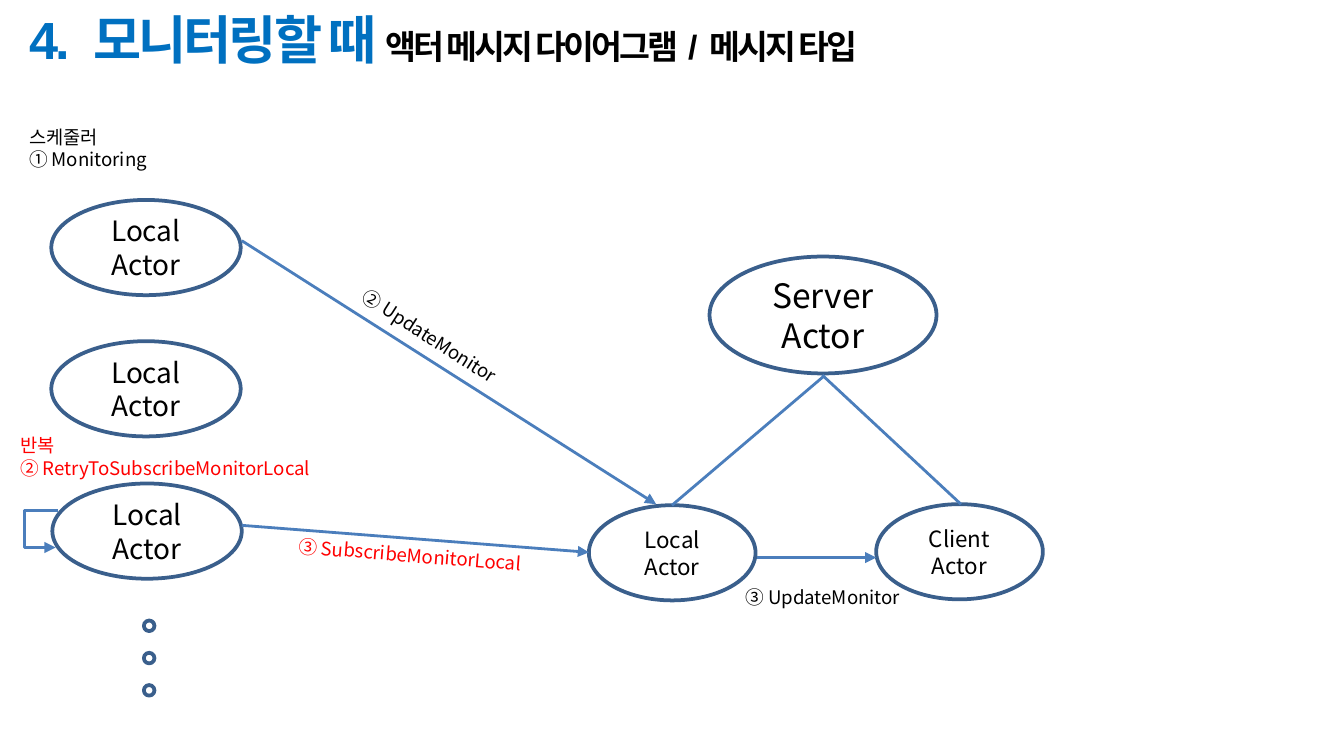
from lxml import etree
from pptx import Presentation
from pptx.dml.color import RGBColor
from pptx.enum.shapes import MSO_CONNECTOR, MSO_SHAPE
from pptx.enum.text import MSO_ANCHOR, PP_ALIGN
from pptx.oxml.ns import qn
from pptx.util import Cm, Pt

STRAIGHT, ELBOW = MSO_CONNECTOR.STRAIGHT, MSO_CONNECTOR.ELBOW
OVAL = MSO_SHAPE.OVAL
MIDDLE, TOP = MSO_ANCHOR.MIDDLE, MSO_ANCHOR.TOP
LEFT, CENTER = PP_ALIGN.LEFT, PP_ALIGN.CENTER

BODY_FONT, TITLE_FONT = "Noto Sans CJK KR", "Arial"
BLACK, RED, BLUE = "000000", "FF0000", "0070C0"
OUTLINE, LINK = "3A5F8C", "4B7EBC"

# Text, size, colour, letter spacing in points
TITLE_RUNS = [
    ("4.", 28, BLUE, -1.5),
    (" ", 28, BLUE, 4.8),
    ("모니터링할 때 ", 28, BLUE, -1.5),
    ("액터 메시지 다이어그램", 18, BLACK, -1.5),
    (" / ", 18, BLACK, 0.8),
    ("메시지 타입", 18, BLACK, -1.5),
]

# Width, height, text size
SERVER, CHILD, SOURCE = (4.29, 2.21, 18), (3.15, 1.8, 12), (3.58, 1.8, 15)
ACTORS = [
    ("Server Actor", 13.41, 4.85, SERVER),
    ("Local Actor", 11.13, 9.55, CHILD),
    ("Client Actor", 16.56, 9.53, CHILD),
    ("Local Actor", 0.97, 3.78, SOURCE),
    ("Local Actor", 0.97, 6.45, SOURCE),
    ("Local Actor", 0.99, 9.14, SOURCE),
]
DOT_LEFT, DOT_TOP, DOT_STEP, DOT_SIZE, DOT_COUNT = 2.72, 11.73, 0.61, 0.2, 3

# Start, end, has arrowhead
LINKS = [
    ((15.57, 7.11), (12.7, 9.55), False),
    ((15.54, 7.09), (18.16, 9.53), False),
    ((4.57, 4.55), (12.4, 9.53), True),
    ((4.57, 9.93), (11.13, 10.44), True),
    ((14.3, 10.54), (16.56, 10.54), True),
]
LOOP_START, LOOP_END, LOOP_REACH = (1.09, 9.65), (1.05, 10.35), 0.63

# Lines, box, colour, rotation, wraps
LABELS = [
    (["② UpdateMonitor"], (6.27, 6.5, 5.23, 0.69), BLACK, 32.7, True),
    (["반복", "② RetryToSubscribeMonitorLocal"], (0.13, 8.08, 6.02, 1.12), RED, 0, True),
    ([" ③ SubscribeMonitorLocal"], (5.31, 10.19, 6.02, 0.69), RED, 4.5, True),
    (["스케줄러", "① Monitoring"], (0.3, 2.24, 2.79, 1.12), BLACK, 0, False),
    (["③ UpdateMonitor"], (13.84, 10.95, 3.48, 0.69), BLACK, 0, False),
]


def color(hex_string):
    return RGBColor.from_string(hex_string)


def add_run(paragraph, text, size, hex_color, font=BODY_FONT):
    run = paragraph.add_run()
    run.text = text
    run.font.size = Pt(size)
    run.font.name = font
    run.font.color.rgb = color(hex_color)
    east_asian = etree.SubElement(run.font._element, qn("a:ea"))
    east_asian.set("typeface", BODY_FONT)
    return run


def set_frame(frame, anchor, side, top, bottom, wrap=True):
    """Set anchor, wrapping and margins in centimetres."""
    frame.word_wrap = wrap
    frame.vertical_anchor = anchor
    frame.margin_left = frame.margin_right = Cm(side)
    frame.margin_top, frame.margin_bottom = Cm(top), Cm(bottom)


def add_title(slide):
    frame = slide.shapes.add_textbox(Cm(0.3), Cm(0.1), Cm(24.79), Cm(1.45)).text_frame
    set_frame(frame, MIDDLE, 0.25, 0.2, 0.4)
    for text, size, hex_color, spacing in TITLE_RUNS:
        run = add_run(frame.paragraphs[0], text, size, hex_color, TITLE_FONT)
        run.font.bold = True
        run.font._element.set("spc", str(round(spacing * 100)))


def add_ellipse(slide, *box):
    shape = slide.shapes.add_shape(OVAL, *map(Cm, box))
    shape.shadow.inherit = False
    shape.fill.background()
    shape.line.color.rgb = color(OUTLINE)
    shape.line.width = Pt(2)
    return shape


def add_actor(slide, name, left, top, kind):
    width, height, size = kind
    frame = add_ellipse(slide, left, top, width, height).text_frame
    set_frame(frame, MIDDLE, 0.48, 0.25, 0.25)
    paragraph = frame.paragraphs[0]
    paragraph.alignment = CENTER
    add_run(paragraph, name, size, BLACK)


def add_link(slide, start, end, arrow, kind=STRAIGHT):
    connector = slide.shapes.add_connector(kind, *map(Cm, start + end))
    connector.line.color.rgb = color(LINK)
    connector.line.width = Pt(1.5)
    if arrow:
        tail = etree.SubElement(connector.line._get_or_add_ln(), qn("a:tailEnd"))
        tail.set("type", "triangle")
    etree.SubElement(connector._element.spPr, qn("a:effectLst"))
    return connector


def add_self_loop(slide):
    """Half-turn an elbow so that it leaves and returns on the left."""
    (right, top), (left, bottom) = LOOP_START, LOOP_END
    connector = add_link(slide, (left, bottom), (right, top), True, ELBOW)
    properties = connector._element.spPr
    properties.find(qn("a:xfrm")).set("rot", str(180 * 60000))
    adjustments = properties.find(qn("a:prstGeom")).get_or_add_avLst()
    guide = etree.SubElement(adjustments, qn("a:gd"))
    guide.set("name", "adj1")
    guide.set("fmla", f"val {round(LOOP_REACH / (right - left) * 100000)}")


def add_label(slide, lines, box, hex_color, rotation, wrap):
    shape = slide.shapes.add_textbox(*map(Cm, box))
    shape.rotation = rotation
    frame = shape.text_frame
    set_frame(frame, TOP, 0.25, 0.13, 0.13, wrap)
    for index, line in enumerate(lines):
        paragraph = frame.add_paragraph() if index else frame.paragraphs[0]
        paragraph.alignment = LEFT
        add_run(paragraph, line, 10, hex_color)


def main():
    presentation = Presentation()
    presentation.slide_width, presentation.slide_height = Cm(25.4), Cm(14.29)
    slide = presentation.slides.add_slide(presentation.slide_layouts[6])
    add_title(slide)
    for actor in ACTORS:
        add_actor(slide, *actor)
    for index in range(DOT_COUNT):
        add_ellipse(slide, DOT_LEFT, DOT_TOP + index * DOT_STEP, DOT_SIZE, DOT_SIZE)
    for link in LINKS:
        add_link(slide, *link)
    add_self_loop(slide)
    for label in LABELS:
        add_label(slide, *label)
    presentation.save("out.pptx")


if __name__ == "__main__":
    main()
